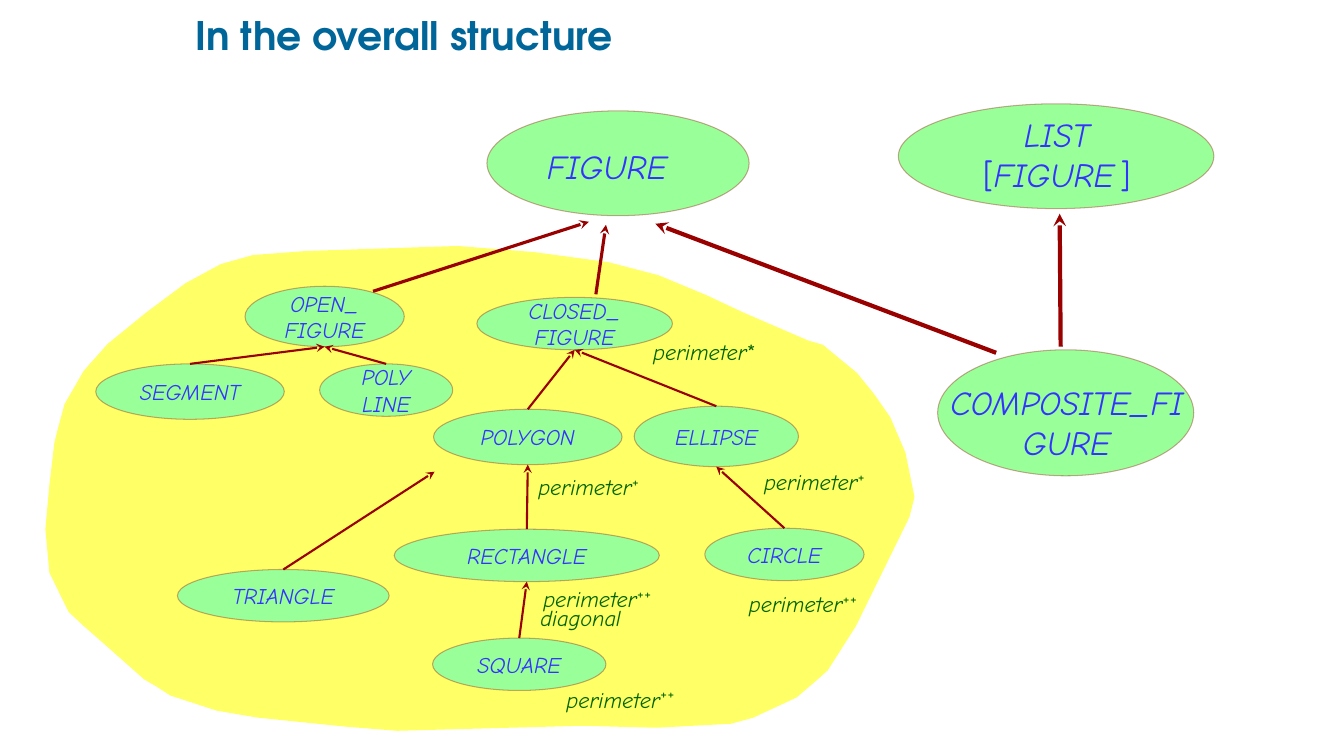
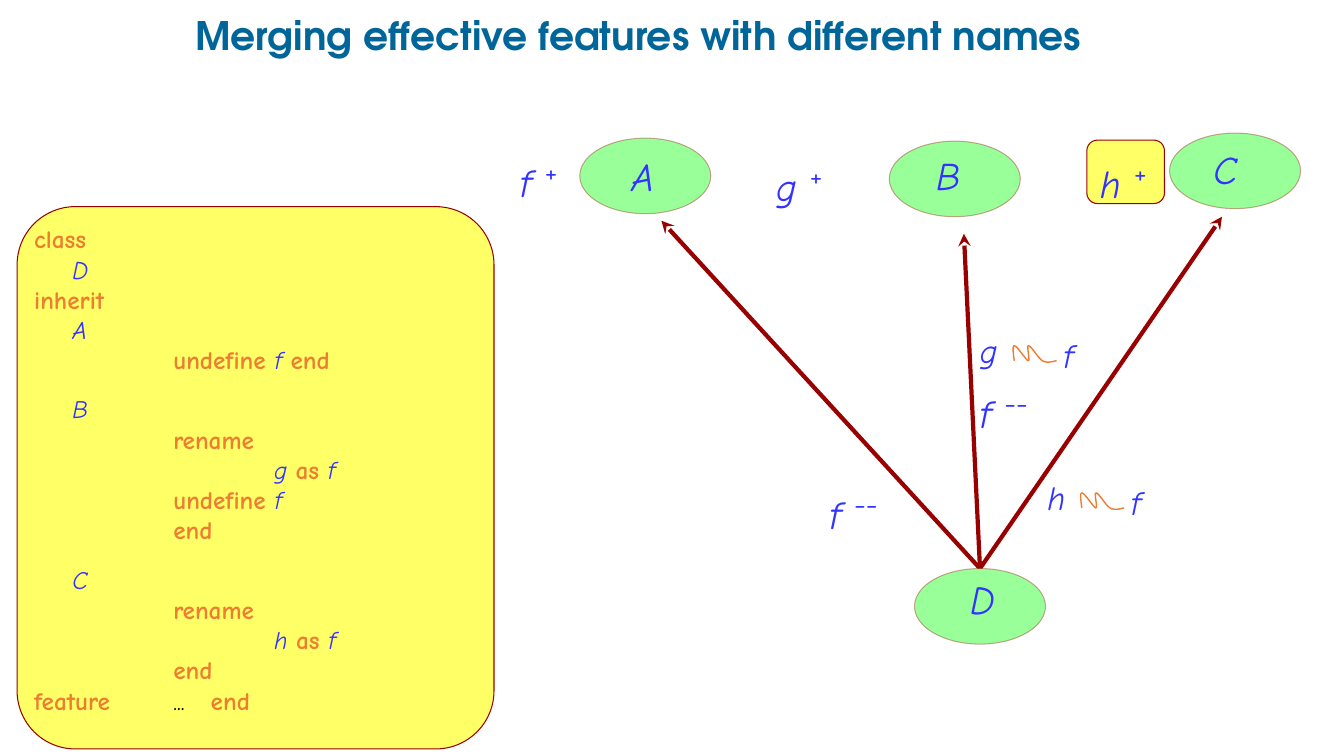
from collections import namedtuple

from lxml import etree
from pptx import Presentation
from pptx.dml.color import RGBColor
from pptx.enum.shapes import MSO_CONNECTOR, MSO_SHAPE
from pptx.enum.text import MSO_ANCHOR as Anchor, PP_ALIGN as Align
from pptx.oxml.ns import qn
from pptx.util import Inches, Pt

TITLE_BLUE = RGBColor(0x00, 0x66, 0x99)
NAME_BLUE = RGBColor(0x33, 0x33, 0xFF)
KEYWORD_ORANGE = RGBColor(0xED, 0x7D, 0x31)
FEATURE_GREEN = RGBColor(0x00, 0x64, 0x00)
NODE_GREEN = RGBColor(0x99, 0xFF, 0x99)
PANEL_YELLOW = RGBColor(0xFF, 0xFF, 0x66)
ARROW_RED = RGBColor(0x99, 0x00, 0x00)
BLACK = RGBColor(0x00, 0x00, 0x00)

TITLE_FONT = "TeX Gyre Adventor"
BODY_FONT = "Comic Neue"

Style = namedtuple("Style", "size color bold italic raised font",
                   defaults=(False, False, False, BODY_FONT))
TITLE = Style(28, TITLE_BLUE, bold=True, font=TITLE_FONT)
BIG_NAME = Style(28, NAME_BLUE, italic=True)
CLASS_NAME = Style(24, NAME_BLUE, italic=True)
UPRIGHT_NAME = Style(24, NAME_BLUE)
SMALL_SPACE = Style(12, NAME_BLUE, italic=True)
SMALL_NAME = Style(16, NAME_BLUE, italic=True)
FEATURE = Style(16, FEATURE_GREEN, italic=True)
FEATURE_STAR = Style(16, FEATURE_GREEN)
FEATURE_MARK = Style(20, FEATURE_GREEN, raised=True)
BIG_MARK = Style(36, NAME_BLUE, raised=True)
KEYWORD = Style(18, KEYWORD_ORANGE, bold=True)
CODE_NAME = Style(18, NAME_BLUE, italic=True)
CODE_PLAIN = Style(18, BLACK)


class Box(namedtuple("Box", "left top width height")):
    """A rectangle on a one-inch grid."""

    def inner(self, left, top, width, height):
        return Box(self.left + left, self.top + top, width, height)

    def point(self, across, down):
        return self.left + across, self.top + down

    def top_middle(self):
        return self.point(self.width / 2, 0)

    def bottom_middle(self):
        return self.point(self.width / 2, self.height)

    def lengths(self):
        return [Inches(value) for value in self]


def write_run(paragraph, text, style):
    run = paragraph.add_run()
    run.text = text
    font = run.font
    font.name, font.size = style.font, Pt(style.size)
    font.bold, font.italic = style.bold, style.italic
    font.color.rgb = style.color
    if style.raised:
        font._element.set("baseline", "30000")


def fill_text(shape, paragraphs, align=Align.LEFT, anchor=Anchor.TOP):
    """Write paragraphs, each a list of (text, style) runs."""
    frame = shape.text_frame
    frame.word_wrap = True
    frame.vertical_anchor = anchor
    for index, runs in enumerate(paragraphs):
        paragraph = frame.add_paragraph() if index else frame.paragraphs[0]
        paragraph.alignment = align
        for text, style in runs:
            write_run(paragraph, text, style)
    return frame


def remove_margins(frame):
    frame.margin_left = frame.margin_right = 0
    frame.margin_top = frame.margin_bottom = 0


def add_text(slide, box, runs, align=Align.LEFT):
    fill_text(slide.shapes.add_textbox(*box.lengths()), [runs], align)


def add_title(slide, text):
    shape = slide.shapes.add_textbox(*Box(1.94, 0.13, 9.31, 0.48).lengths())
    frame = fill_text(shape, [[(text, TITLE)]], anchor=Anchor.MIDDLE)
    remove_margins(frame)
    frame.paragraphs[0].line_spacing = 0.9


def add_ellipse(slide, box):
    """Green class node with a faint red outline."""
    shape = slide.shapes.add_shape(MSO_SHAPE.OVAL, *box.lengths())
    shape.shadow.inherit = False
    shape.fill.solid()
    shape.fill.fore_color.rgb = NODE_GREEN
    shape.line.color.rgb = ARROW_RED
    shape.line.width = Pt(0.75)
    color = shape.line._ln.find(".//" + qn("a:srgbClr"))
    etree.SubElement(color, qn("a:alpha")).set("val", "34000")
    return shape


def add_rounded(slide, box, corner, filled):
    shape = slide.shapes.add_shape(MSO_SHAPE.ROUNDED_RECTANGLE, *box.lengths())
    shape.shadow.inherit = False
    shape.adjustments[0] = corner
    if filled:
        shape.fill.solid()
        shape.fill.fore_color.rgb = PANEL_YELLOW
        shape.line.color.rgb = ARROW_RED
        shape.line.width = Pt(0.75)
    else:
        shape.fill.background()
        shape.line.fill.background()
    return shape


def add_arrow(slide, start, end, width):
    ends = [Inches(value) for value in (*start, *end)]
    arrow = slide.shapes.add_connector(MSO_CONNECTOR.STRAIGHT, *ends)
    arrow.line.color.rgb = ARROW_RED
    arrow.line.width = Pt(width)
    etree.SubElement(arrow.line._ln, qn("a:tailEnd")).set("type", "stealth")
    etree.SubElement(arrow._element.spPr, qn("a:effectLst"))


def add_outline(slide, box, points, close):
    corners = [[Inches(value) for value in box.point(*point)] for point in points]
    builder = slide.shapes.build_freeform(*corners[0])
    builder.add_line_segments(corners[1:], close=close)
    shape = builder.convert_to_shape()
    shape.shadow.inherit = False
    return shape


# Slide 1: class hierarchy

REGION_OUTLINE = [
    (7.05, 0.65), (6.71, 0.49), (6.23, 0.29), (5.73, 0.16), (4.99, 0.06),
    (4.24, 0), (2.74, 0.05), (2.21, 0.09), (1.89, 0.18), (1.54, 0.37),
    (1.15, 0.66), (0.93, 0.84), (0.77, 0.97), (0.6, 1.16), (0.53, 1.24),
    (0.34, 1.57), (0.27, 1.83), (0.24, 1.95), (0.19, 2.37), (0.15, 2.81),
    (0.19, 3.24), (0.38, 3.63), (0.53, 3.77), (0.69, 3.91), (1.13, 4.3),
    (1.25, 4.37), (1.39, 4.46), (1.85, 4.61), (2.26, 4.68), (3.14, 4.77),
    (3.64, 4.81), (5.47, 4.76), (6.21, 4.78), (6.95, 4.74), (7.17, 4.68),
    (7.6, 4.48), (7.81, 4.3), (7.91, 4.21), (8.19, 3.77), (8.72, 2.69),
    (8.77, 2.49), (8.68, 2.05), (8.53, 1.7), (8.37, 1.47), (8.2, 1.26),
    (7.86, 0.98), (7.72, 0.94), (7.21, 0.72),
]
TREE_NODES = {
    "OPEN_ FIGURE": (2.13, 0.4, 1.58, 0.6),
    "CLOSED_ FIGURE": (4.43, 0.51, 1.94, 0.52),
    "SEGMENT": (0.65, 1.17, 1.87, 0.55),
    "POLY LINE": (2.87, 1.17, 1.32, 0.52),
    "POLYGON": (4, 1.62, 1.87, 0.55),
    "ELLIPSE": (5.99, 1.59, 1.63, 0.6),
    "RECTANGLE": (3.61, 2.81, 2.63, 0.52),
    "SQUARE": (3.99, 3.89, 1.72, 0.52),
    "CIRCLE": (6.69, 2.8, 1.58, 0.52),
    "TRIANGLE": (1.46, 3.21, 2.1, 0.52),
}
PARENTS = {
    "SEGMENT": "OPEN_ FIGURE", "POLY LINE": "OPEN_ FIGURE",
    "POLYGON": "CLOSED_ FIGURE", "ELLIPSE": "CLOSED_ FIGURE",
    "RECTANGLE": "POLYGON", "SQUARE": "RECTANGLE", "CIRCLE": "ELLIPSE",
}
PERIMETERS = [
    (7.18, 2.1, "+"), (6.08, 0.87, "*"), (7.03, 3.31, "++"),
    (5.22, 4.26, "++"), (4.99, 3.26, "++"), (4.94, 2.15, "+"),
]


def add_figure_tree(slide, box):
    region = add_outline(slide, box, REGION_OUTLINE, close=True)
    region.fill.solid()
    region.fill.fore_color.rgb = PANEL_YELLOW
    region.line.fill.background()
    nodes = {name: box.inner(*place) for name, place in TREE_NODES.items()}
    for name, node in nodes.items():
        lines = [[(word, SMALL_NAME)] for word in name.split()]
        fill_text(add_ellipse(slide, node), lines, Align.CENTER, Anchor.MIDDLE)
    for child, parent in PARENTS.items():
        add_arrow(slide, nodes[child].top_middle(), nodes[parent].bottom_middle(), 1.5)
    add_arrow(slide, nodes["TRIANGLE"].top_middle(), box.point(4.01, 2.24), 1.5)
    for left, top, mark in PERIMETERS:
        style = FEATURE_STAR if mark == "*" else FEATURE_MARK
        add_text(slide, box.inner(left, top, 1.58, 0.52),
                 [("perimeter", FEATURE), (mark, style)])
    add_text(slide, box.inner(4.96, 3.5, 1.05, 0.52), [("diagonal", FEATURE)])


def add_top_class(slide, box, text_place, runs):
    add_ellipse(slide, box)
    add_text(slide, box.inner(*text_place), runs, Align.CENTER)


def build_structure_slide(slide):
    add_title(slide, "In the overall structure")
    add_top_class(slide, Box(9.3, 3.47, 2.54, 1.25), (0.01, 0.27, 2.54, 1.25),
                  [("COMPOSITE_FIGURE", CLASS_NAME)])
    add_top_class(slide, Box(4.83, 1.1, 2.6, 1.04), (0.39, 0.3, 1.6, 0.52),
                  [("FIGURE", CLASS_NAME)])
    add_top_class(slide, Box(8.91, 1.03, 3.13, 1.04), (0.63, 0.05, 1.88, 1.04),
                  [("LIST ", CLASS_NAME), ("[", UPRIGHT_NAME), ("FIGURE", CLASS_NAME),
                   (" ", SMALL_SPACE), ("]", UPRIGHT_NAME)])
    add_figure_tree(slide, Box(0.3, 2.44, 8.77, 4.81))
    for start, end, width in [
        ((10.52, 3.44), (10.51, 2.12), 3),
        ((9.88, 3.5), (6.5, 2.22), 3),
        ((5.91, 2.92), (6.01, 2.23), 2.25),
        ((3.7, 2.89), (5.84, 2.2), 2.25),
    ]:
        add_arrow(slide, start, end, width)


# Slide 2: merging features

SQUIGGLE = [
    (0.02, 0.15), (0.01, 0.07), (0, 0), (0.02, 0), (0.05, 0), (0.14, 0.15),
    (0.16, 0.15), (0.18, 0.15), (0.14, 0), (0.16, 0), (0.19, 0), (0.26, 0.13),
    (0.3, 0.15), (0.35, 0.18), (0.42, 0.15), (0.44, 0.15),
]
# Each line: indent level, whether a gap precedes it, runs
INDENTS = (0, 0.38, 1.38, 2.38)
CODE = [
    (0, False, [("class", KEYWORD)]),
    (1, False, [("D", CODE_NAME)]),
    (0, False, [("inherit", KEYWORD)]),
    (1, False, [("A", CODE_NAME)]),
    (2, False, [("undefine ", KEYWORD), ("f ", CODE_NAME), ("end", KEYWORD)]),
    (1, True, [("B", CODE_NAME)]),
    (2, False, [("rename", KEYWORD)]),
    (3, False, [("g ", CODE_NAME), ("as ", KEYWORD), ("f", CODE_NAME)]),
    (2, False, [("undefine ", KEYWORD), ("f", CODE_NAME)]),
    (2, False, [("end", KEYWORD)]),
    (1, True, [("C", CODE_NAME)]),
    (2, False, [("rename", KEYWORD)]),
    (3, False, [("h ", CODE_NAME), ("as ", KEYWORD), ("f", CODE_NAME)]),
    (2, False, [("end", KEYWORD)]),
    (2, False, [("feature", KEYWORD), ("\t...", CODE_PLAIN), (" ", CODE_PLAIN),
                ("end", KEYWORD)]),
]


def sample_curve(points, steps=8):
    """Points along chained cubic Bézier curves."""
    samples = [points[0]]
    for first in range(0, len(points) - 1, 3):
        curve = points[first:first + 4]
        for step in range(1, steps + 1):
            t = step / steps
            weights = ((1 - t) ** 3, 3 * t * (1 - t) ** 2, 3 * t * t * (1 - t), t ** 3)
            samples.append(tuple(sum(weight * point[axis] for weight, point
                                     in zip(weights, curve)) for axis in (0, 1)))
    return samples


def add_code_panel(slide, box):
    panel = add_rounded(slide, box, 0.122, filled=True)
    frame = fill_text(panel, [runs for _, _, runs in CODE])
    remove_margins(frame)
    for paragraph, (level, gap, _) in zip(frame.paragraphs, CODE):
        properties = paragraph._p.get_or_add_pPr()
        properties.set("marL", str(Inches(INDENTS[level])))
        properties.set("indent", "0")
        if gap:
            paragraph.space_before = Pt(13.5)
    feature_line = frame.paragraphs[-1]
    feature_line._p.get_or_add_pPr().set("indent", str(-Inches(INDENTS[2])))
    feature_line.runs[2].font._element.set("spc", "1250")


def add_renaming(slide, box, old, new):
    add_text(slide, box.inner(0, 0, 0.52, 0.52), [(old, CLASS_NAME)])
    squiggle = add_outline(slide, box.inner(0.42, 0.21, 0.44, 0.18),
                           sample_curve(SQUIGGLE), close=False)
    squiggle.fill.background()
    squiggle.line.color.rgb = KEYWORD_ORANGE
    squiggle.line.width = Pt(1)
    add_text(slide, box.inner(0.83, 0.05, 0.52, 0.52), [(new, CLASS_NAME)])


def add_merge_diagram(slide, box):
    heir = box.inner(4.07, 4.64, 1.3, 0.75)
    for tip in [(1.56, 1.19), (4.56, 1.32), (7.12, 1.15)]:
        add_arrow(slide, heir.top_middle(), box.point(*tip), 3)
    for name, left, top, across, down in [
        ("A", 0.75, 0.37, 0.31, 0.09), ("B", 3.82, 0.4, 0.27, 0.05),
        ("C", 6.6, 0.32, 0.24, 0.07), ("D", 4.07, 4.64, 0.36, 0.02),
    ]:
        node = box.inner(left, top, heir.width, heir.height)
        add_ellipse(slide, node)
        add_text(slide, node.inner(across, down, 0.63, 0.57), [(name, BIG_NAME)], Align.CENTER)
    for name, mark, left, top, width in [
        ("h ", "+", 5.78, 0.39, 0.77), ("f ", "+", 0.03, 0.38, 0.83),
        ("g ", "+", 2.57, 0.42, 0.76), ("f ", "--", 3.1, 3.67, 0.98),
        ("f ", "--", 4.59, 2.67, 0.98),
    ]:
        label = add_rounded(slide, box.inner(left, top, width, 0.63), 0.167, name == "h ")
        fill_text(label, [[(name, BIG_NAME), (mark, BIG_MARK)]])
    add_renaming(slide, box.inner(5.29, 3.68, 1.35, 0.57), "h", "f")
    add_renaming(slide, box.inner(4.62, 2.22, 1.35, 0.57), "g", "f")


def build_merging_slide(slide):
    add_title(slide, "Merging effective features with different names")
    add_merge_diagram(slide, Box(5, 1, 8, 5.5))
    add_code_panel(slide, Box(0.17, 2.05, 4.73, 5.38))


def main():
    presentation = Presentation()
    presentation.slide_width, presentation.slide_height = Inches(13.33), Inches(7.5)
    for build in (build_structure_slide, build_merging_slide):
        build(presentation.slides.add_slide(presentation.slide_layouts[6]))
    presentation.save("out.pptx")


if __name__ == "__main__":
    main()
